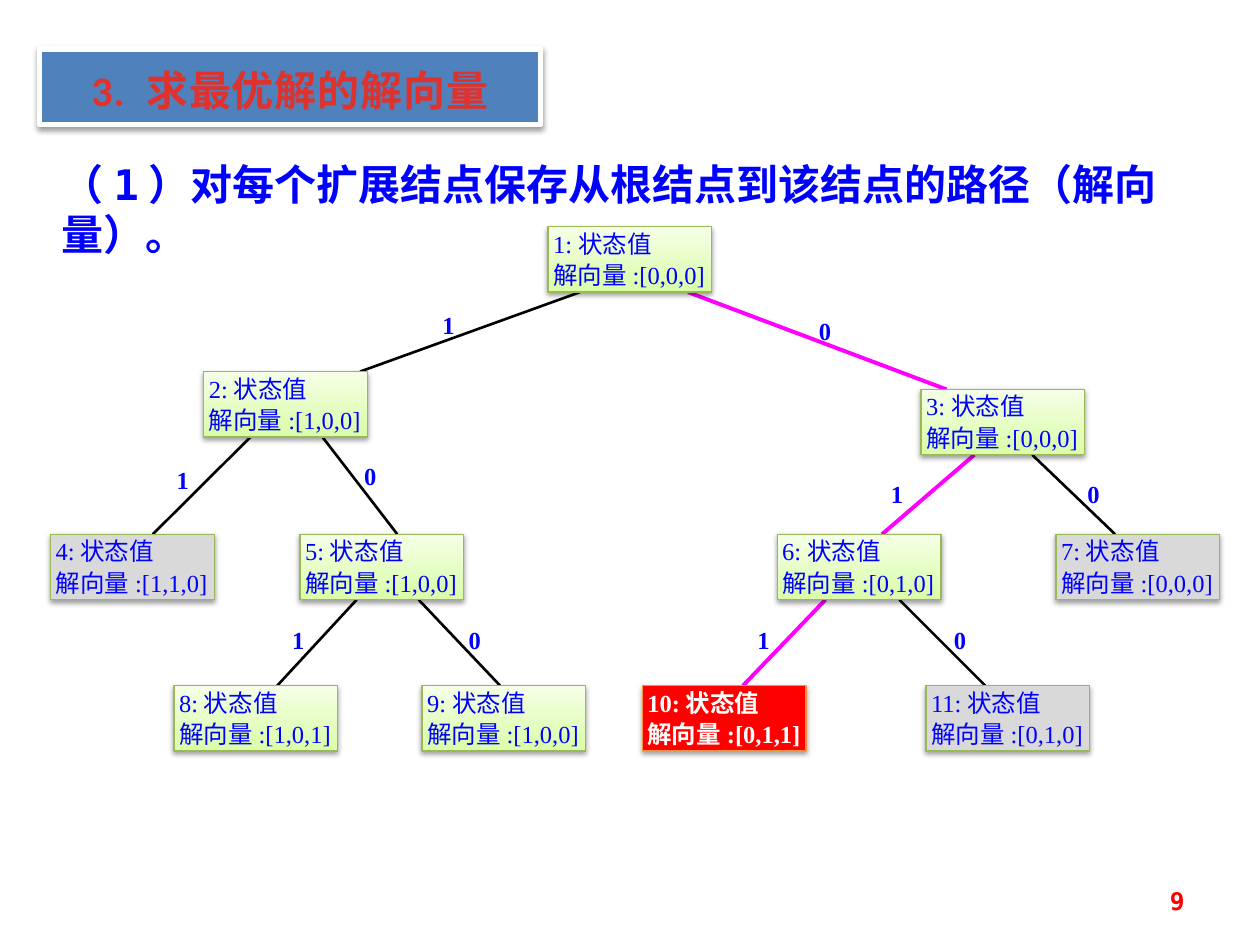
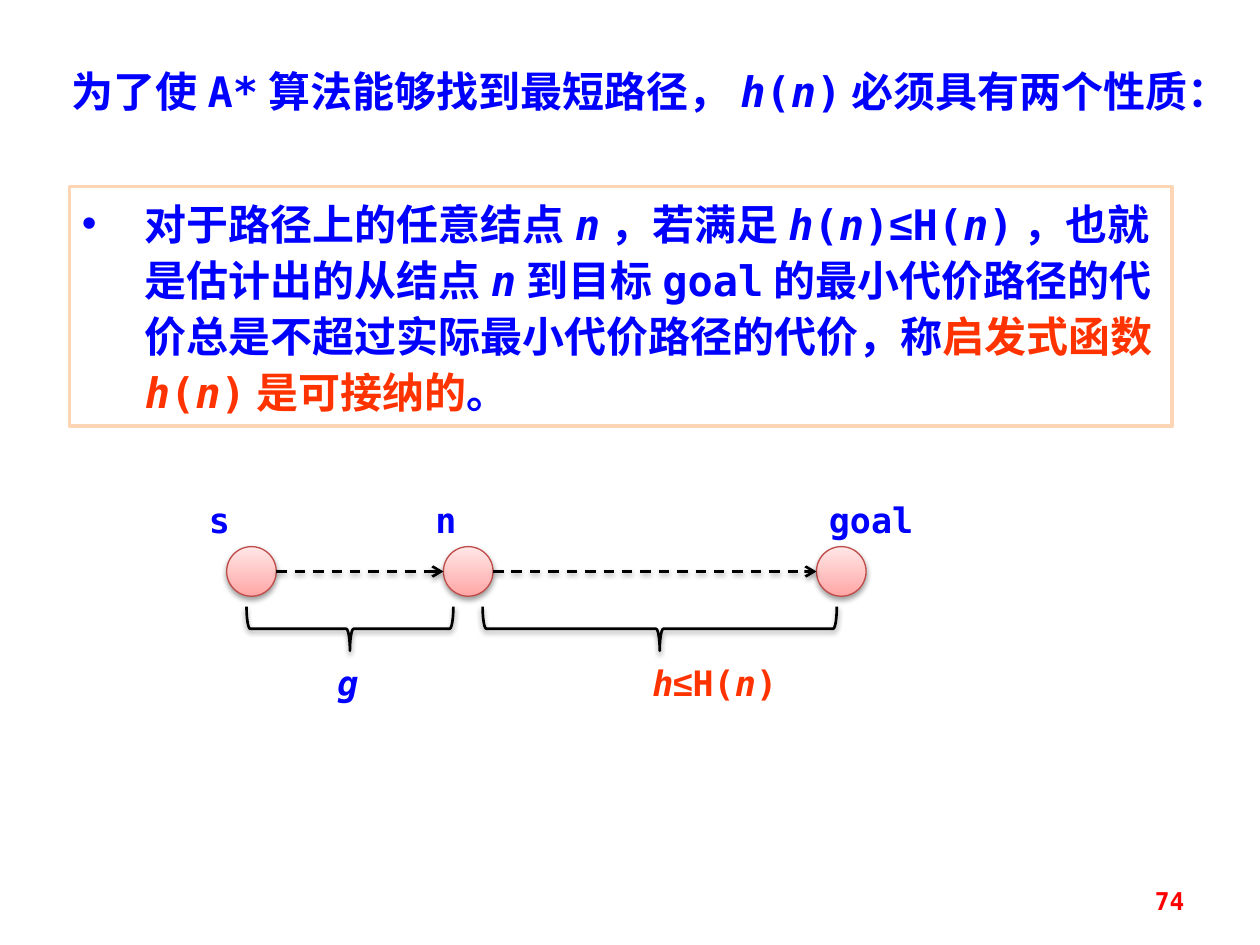
from lxml.etree import SubElement as Sub
from pptx import Presentation
from pptx.dml.color import RGBColor as Rgb
from pptx.enum.dml import MSO_LINE as Dash
from pptx.enum.shapes import MSO_CONNECTOR as Link, MSO_SHAPE as Kind
from pptx.enum.text import MSO_ANCHOR as Anchor, MSO_AUTO_SIZE as Auto, PP_ALIGN as Align
from pptx.oxml.ns import qn
from pptx.util import Cm, Pt

HUES = {
    "text": "0000FF", "mark": "FF3300", "page": "FF0000", "white": "FFFFFF",
    "black": "000000", "path": "FF00FF", "gray": "D9D9D9", "goal": "FF0000",
    "green": "98B955", "orange": "F69240", "peach": "FCD5B5", "rose": "BF4C48",
    "band": "4F81BD", "title": "E0322D",
}
FADES = {"leaf": ("DAFDA7", "F5FFE7"), "pink": ("FFA6A5", "FFE7E7")}
MONO, ROMAN = "DejaVu Sans Mono", "Times New Roman"
HEAD = {"name": MONO, "size": Pt(24), "bold": True}
MARK = {**HEAD, "size": Pt(20)}
NODE = {"name": ROMAN, "size": Pt(14), "bold": False}
BIT = {**NODE, "bold": True}
PAGE = {**HEAD, "size": Pt(14)}
TIGHT = dict.fromkeys(
    ("margin_left", "margin_top", "margin_right", "margin_bottom"), 0)


def put(item, vals):
    """Set each attribute named in vals."""
    for key, val in vals.items():
        setattr(item, key, val)


def hue(name):
    return Rgb.from_string(HUES[name])


def place(item, x, y, w, h):
    put(item, {"left": Cm(x), "top": Cm(y), "width": Cm(w), "height": Cm(h)})


def glow(item, cast):
    """Give the item a soft drop shadow, or none."""
    fx = Sub(item._element.spPr, qn("a:effectLst"))
    if cast:
        drop = Sub(fx, qn("a:outerShdw"), blurRad="40000", dist="20000",
                   dir="5400000", rotWithShape="0")
        tone = Sub(drop, qn("a:srgbClr"), val=HUES["black"])
        Sub(tone, qn("a:alpha"), val="38000")


def paint(item, fill=None, line=None, width=0.75, cast=False):
    if fill in FADES:
        item.fill.gradient()
        item.fill.gradient_angle = 90
        for stop, code in zip(item.fill.gradient_stops, FADES[fill]):
            stop.color.rgb = Rgb.from_string(code)
    elif fill:
        item.fill.solid()
        item.fill.fore_color.rgb = hue(fill)
    else:
        item.fill.background()
    if line:
        item.line.color.rgb = hue(line)
        item.line.width = Pt(width)
    else:
        item.line.fill.background()
    glow(item, cast)


def shape(slide, kind, box, **look):
    item = slide.shapes.add_shape(kind, *map(Cm, box))
    paint(item, **look)
    return item


def rule(slide, start, end, color="black", width=1.5, arrow=False):
    item = slide.shapes.add_connector(Link.STRAIGHT, *map(Cm, start + end))
    item.line.color.rgb = hue(color)
    item.line.width = Pt(width)
    if arrow:
        item.line.dash_style = Dash.DASH
        Sub(item._element.spPr.find(qn("a:ln")), qn("a:tailEnd"), type="arrow")
    glow(item, arrow)


def fill_par(par, text, font, color="text"):
    """Write text; _ turns italics on and off, | the accent colour."""
    for i, chunk in enumerate(text.split("|")):
        for j, part in enumerate(chunk.split("_")):
            for piece in filter(None, part.partition("≤")):
                run = par.add_run()
                run.text = piece
                put(run.font, {**font, "italic": j % 2 == 1})
                if piece == "≤":
                    run.font.name = "Arial"
                run.font.color.rgb = hue("mark" if i % 2 else color)


def write(item, lines, font, color="text", frame=None, par=None):
    body = item.text_frame
    put(body, {"word_wrap": True, "auto_size": Auto.NONE,
               "vertical_anchor": Anchor.TOP, **(frame or {})})
    for i, text in enumerate(lines):
        row = body.add_paragraph() if i else body.paragraphs[0]
        put(row, {"alignment": Align.LEFT, **(par or {})})
        fill_par(row, text, font, color)


def note(slide, box, text, font, color="text", **more):
    item = slide.shapes.add_textbox(*map(Cm, box))
    write(item, [text], font, color, **more)


def start(deck, page):
    """Add a title-only slide with its page number."""
    slide = deck.slides.add_slide(deck.slide_layouts[5])
    note(slide, (18.21, 17.65, 5.92, 1.02), page, PAGE, "page",
         frame={"vertical_anchor": Anchor.MIDDLE}, par={"alignment": Align.RIGHT})
    return slide


# Tree: child -> parent, node corners, and for each edge
# its offset on the parent, offset on the child and label corner
UP = {2: 1, 3: 1, 4: 2, 5: 2, 6: 3, 7: 3, 8: 5, 9: 5, 10: 6, 11: 6}
SPOTS = {
    1: (10.03, 0), 2: (3.09, 2.92), 3: (17.55, 3.28),
    4: (0, 6.2), 5: (5.03, 6.2), 6: (14.65, 6.2), 7: (20.27, 6.2),
    8: (2.49, 9.25), 9: (7.49, 9.25), 10: (11.93, 9.25), 11: (17.65, 9.25),
}
EDGES = {
    2: (0.64, 3.15, 7.9, 1.68), 3: (2.82, 0.51, 15.49, 1.81),
    4: (0.94, 2.06, 2.54, 4.8), 5: (2.39, 1.96, 6.32, 4.73),
    6: (1.07, 2.11, 16.94, 5.08), 7: (2.24, 1.19, 20.9, 5.08),
    8: (1.14, 2.08, 4.87, 8.03), 9: (2.39, 1.57, 8.43, 8.03),
    10: (0.97, 2.03, 14.25, 8.03), 11: (2.46, 1.19, 18.21, 8.03),
}
WIDE, HIGH = 3.3, 1.32
BEST, DEAD = {3, 6, 10}, {4, 7, 11}


def bit(node):
    return 1 - node % 2


def route(node):
    """Branch bits from the root down to the node."""
    return route(UP[node]) + [bit(node)] if node in UP else []


def tree(slide, x, y):
    # Branch labels
    for kid, (_, _, dx, dy) in EDGES.items():
        tag = shape(slide, Kind.RECTANGLE, (x + dx, y + dy, 0.48, 0.53), fill="white")
        write(tag, [str(bit(kid))], BIT, frame=TIGHT)
    # Branches
    for kid, (out, into, _, _) in EDGES.items():
        (px, py), (kx, ky) = SPOTS[UP[kid]], SPOTS[kid]
        look = ("path", 2.25) if kid in BEST else ("black", 1.5)
        rule(slide, (x + px + out, y + py + HIGH), (x + kx + into, y + ky), *look)
    # Nodes
    for node, (dx, dy) in SPOTS.items():
        goal = node == 10
        fill = "goal" if goal else "gray" if node in DEAD else "leaf"
        box = shape(slide, Kind.RECTANGLE, (x + dx, y + dy, WIDE, HIGH), fill=fill,
                    line="orange" if goal else "green", cast=True)
        code = ",".join(map(str, (route(node) + [0, 0, 0])[:3]))
        write(box, [f"{node}:状态值", f"解向量:[{code}]"],
              BIT if goal else NODE, "white" if goal else "text",
              frame={**TIGHT, "margin_left": Cm(0.1)}, par={"line_spacing": Pt(18)})


def solve(deck):
    slide = start(deck, "9")
    # Title band
    title = slide.shapes.title
    place(title, 0.79, 0.99, 10.11, 1.52)
    paint(title, "band", "white", 3, True)
    write(title, ["3. 求最优解的解向量"], {**HEAD, "name": "Calibri"}, "title",
          frame={"margin_top": Cm(0.3), "margin_bottom": Cm(0.2)},
          par={"alignment": Align.CENTER})
    for run in title.text_frame.paragraphs[0].runs:
        run.font._element.set("spc", "50")
    # Lead line and tree
    note(slide, (0.99, 3.07, 24.21, 2.2),
         "（1）对每个扩展结点保存从根结点到该结点的路径（解向量）。", HEAD)
    tree(slide, 1.02, 4.57)


def claim(slide, x, y, w, h):
    """Framed bullet."""
    box = shape(slide, Kind.RECTANGLE, (x, y, w, h), fill="white", line="peach", width=2)
    row = box.text_frame.paragraphs[0]
    props = row._p.get_or_add_pPr()
    put_in = {"marL": Cm(1.27), "indent": -Cm(1.27)}
    for key, val in put_in.items():
        props.set(key, str(int(val)))
    row.line_spacing = Pt(32)
    Sub(props, qn("a:buFont"), typeface="Arial")
    Sub(props, qn("a:buChar"), char="•")
    write(box, ["对于路径上的任意结点_n_，若满足_h_(_n_)≤H(_n_)，也就是估计出的从结点_n_"
                "到目标goal的最小代价路径的代价总是不超过实际最小代价路径的代价，称"
                "|启发式函数_h_(_n_)是可接纳的|。"], HEAD)


def chain(slide, x, y):
    """Path s - n - goal with its cost braces."""
    size, top = 1, 1.09
    stops = [("s", 0.61, 0, 1), ("n", 4.98, 4.57, 1), ("goal", 12.5, 12.5, 2.97)]
    for name, dx, tx, w in stops:
        shape(slide, Kind.OVAL, (x + dx, y + top, size, size),
              fill="pink", line="rose", cast=True)
        note(slide, (x + tx, y, w, 1.12), name, MARK)
    # Arrows
    mid = y + top + size / 2
    for (_, a, _, _), (_, b, _, _) in zip(stops, stops[1:]):
        rule(slide, (x + a + size, mid), (x + b, mid), arrow=True)
    # Braces, turned to open upwards
    deep, low = 0.89, 2.3
    for dx, w, text, tx, tw in ((1.01, 4.17, "_g_", 2.59, 1),
                                (5.77, 7.14, "|_h_≤H(_n_)|", 8.94, 4.17)):
        brace = shape(slide, Kind.LEFT_BRACE,
                      (x + dx + (w - deep) / 2, y + low + (deep - w) / 2, deep, w),
                      line="black", width=1.5, cast=True)
        brace.rotation = 270
        note(slide, (x + tx, y + 3.28, tw, 1.12), text, MARK)


def admit(deck):
    slide = start(deck, "74")
    title = slide.shapes.title
    place(title, 1.19, 1.19, 23.42, 2.2)
    write(title, ["为了使A*算法能够找到最短路径，_h_(_n_)必须具有两个性质："], HEAD)
    claim(slide, 1.4, 3.76, 22.23, 4.83)
    chain(slide, 3.96, 9.93)


def main():
    deck = Presentation()
    put(deck, {"slide_width": Cm(25.4), "slide_height": Cm(19.05)})
    solve(deck)
    admit(deck)
    deck.save("out.pptx")


if __name__ == "__main__":
    main()
